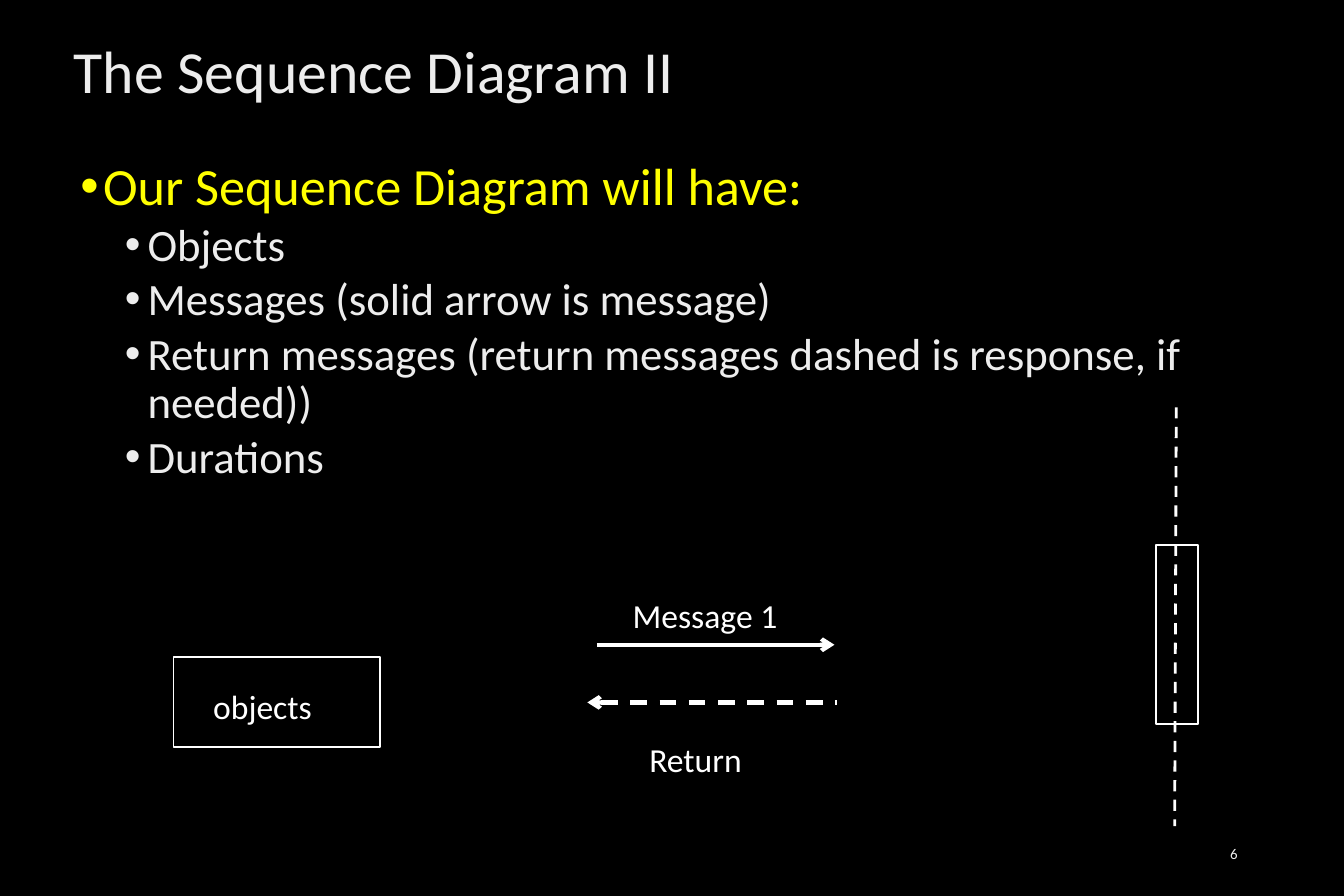
from typing import NamedTuple, Optional

from pptx import Presentation
from pptx.dml.color import RGBColor
from pptx.enum.dml import MSO_LINE_DASH_STYLE as Dash
from pptx.enum.shapes import MSO_CONNECTOR, MSO_SHAPE
from pptx.enum.text import MSO_ANCHOR as Anchor, MSO_AUTO_SIZE as AutoSize, PP_ALIGN as Align
from pptx.oxml.ns import qn
from pptx.util import Cm, Pt

FONT = "Calibri"
COLORS = {"background": "000000", "text": "EDEDED", "heading": "FFFF00", "diagram": "FFFFFF"}


class Box(NamedTuple):
    left: float
    top: float
    width: float
    height: float


class Label(NamedTuple):
    text: str
    box: Box
    align: Align = Align.CENTER


class Line(NamedTuple):
    start: tuple[float, float]
    end: tuple[float, float]
    width: float
    dashed: bool = False
    arrow_end: Optional[str] = None


# Diagram parts, lengths in centimetres
FRAMES = [Box(3.28, 12.42, 3.91, 1.7), Box(21.84, 10.31, 0.81, 3.38)]
LABELS = [
    Label("objects", Box(3.78, 12.85, 2.74, 0.94), Align.LEFT),
    Label("Message 1", Box(11.46, 11.13, 3.73, 0.94)),
    Label("Return", Box(11.86, 13.84, 2.57, 0.94)),
]
LINES = [
    Line((11.28, 12.19), (15.77, 12.19), 2.25, arrow_end="a:tailEnd"),
    Line((11.1, 13.28), (15.82, 13.28), 2.25, dashed=True, arrow_end="a:headEnd"),
    Line((22.23, 7.7), (22.2, 15.62), 1.5, dashed=True),
]
HEADING = "Our Sequence Diagram will have:"
ITEMS = [
    "Objects",
    "Messages (solid arrow is message)",
    "Return messages (return messages dashed is response, if needed))",
    "Durations",
]


def rgb(name: str) -> RGBColor:
    return RGBColor.from_string(COLORS[name])


def in_cm(box: Box) -> list[Cm]:
    return [Cm(length) for length in box]


def write(paragraph, text: str, *, size: float, color: str = "text", align=Align.LEFT,
          spacing: Optional[float] = None, before: float = 0,
          bullet_indent: Optional[float] = None) -> None:
    """Fill a paragraph with one formatted run, with a bullet if an indent is given."""
    if bullet_indent is not None:
        properties = paragraph._p.get_or_add_pPr()
        properties.set("marL", str(Cm(bullet_indent)))
        properties.set("indent", str(-Cm(0.43)))
        properties.makeelement(qn("a:buFont"))
        for tag, key, value in (("a:buFont", "typeface", "Arial"), ("a:buChar", "char", "•")):
            element = properties.makeelement(qn(tag), {key: value})
            properties.append(element)
    paragraph.alignment = align
    if spacing:
        paragraph.line_spacing = spacing
    if before:
        paragraph.space_before = Pt(before)
    run = paragraph.add_run()
    run.text = text
    run.font.name, run.font.size = FONT, Pt(size)
    run.font.color.rgb = rgb(color)


def add_text_frame(slide, box: Box, *, wrap: bool = True, anchor=Anchor.TOP):
    frame = slide.shapes.add_textbox(*in_cm(box)).text_frame
    frame.word_wrap = wrap
    frame.vertical_anchor = anchor
    return frame


def draw_frame(slide, box: Box) -> None:
    frame = slide.shapes.add_shape(MSO_SHAPE.RECTANGLE, *in_cm(box))
    frame.shadow.inherit = False
    frame.fill.background()
    frame.line.color.rgb = rgb("diagram")
    frame.line.width = Pt(1)


def draw_label(slide, label: Label) -> None:
    frame = add_text_frame(slide, label.box, wrap=False)
    write(frame.paragraphs[0], label.text, size=18, color="diagram", align=label.align)


def draw_line(slide, line: Line) -> None:
    ends = [Cm(length) for length in line.start + line.end]
    connector = slide.shapes.add_connector(MSO_CONNECTOR.STRAIGHT, *ends)
    connector.line.color.rgb = rgb("diagram")
    connector.line.width = Pt(line.width)
    if line.dashed:
        connector.line.dash_style = Dash.DASH
    properties = connector._element.spPr
    if line.arrow_end:
        outline = connector.line._get_or_add_ln()
        outline.append(outline.makeelement(qn(line.arrow_end), {"type": "arrow"}))
    properties.append(properties.makeelement(qn("a:effectLst")))


def main() -> None:
    deck = Presentation()
    deck.slide_width, deck.slide_height = Cm(25.4), Cm(16.94)
    slide = deck.slides.add_slide(deck.slide_layouts[5])
    slide.background.fill.solid()
    slide.background.fill.fore_color.rgb = rgb("background")

    # Title
    title = slide.shapes.title
    title.left, title.top, title.width, title.height = in_cm(Box(1.14, 0, 22.86, 2.82))
    title.text_frame.auto_size = AutoSize.NONE
    title.text_frame.vertical_anchor = Anchor.MIDDLE
    write(title.text_frame.paragraphs[0], "The Sequence Diagram II", size=32, spacing=0.9)

    # Bulleted list
    body = add_text_frame(slide, Box(1.27, 2.9, 22.86, 13.06))
    write(body.paragraphs[0], HEADING, size=28, color="heading", spacing=0.9, bullet_indent=0.43)
    for item in ITEMS:
        paragraph = body.add_paragraph()
        paragraph.level = 1
        write(paragraph, item, size=24, spacing=0.9, before=3.3, bullet_indent=1.27)

    # Slide number
    number = add_text_frame(slide, Box(17.93, 15.7, 5.71, 0.89), anchor=Anchor.MIDDLE)
    write(number.paragraphs[0], "6", size=8, align=Align.RIGHT)

    # Sequence diagram notation
    for box in FRAMES:
        draw_frame(slide, box)
    for label in LABELS:
        draw_label(slide, label)
    for line in LINES:
        draw_line(slide, line)

    deck.save("out.pptx")


if __name__ == "__main__":
    main()
